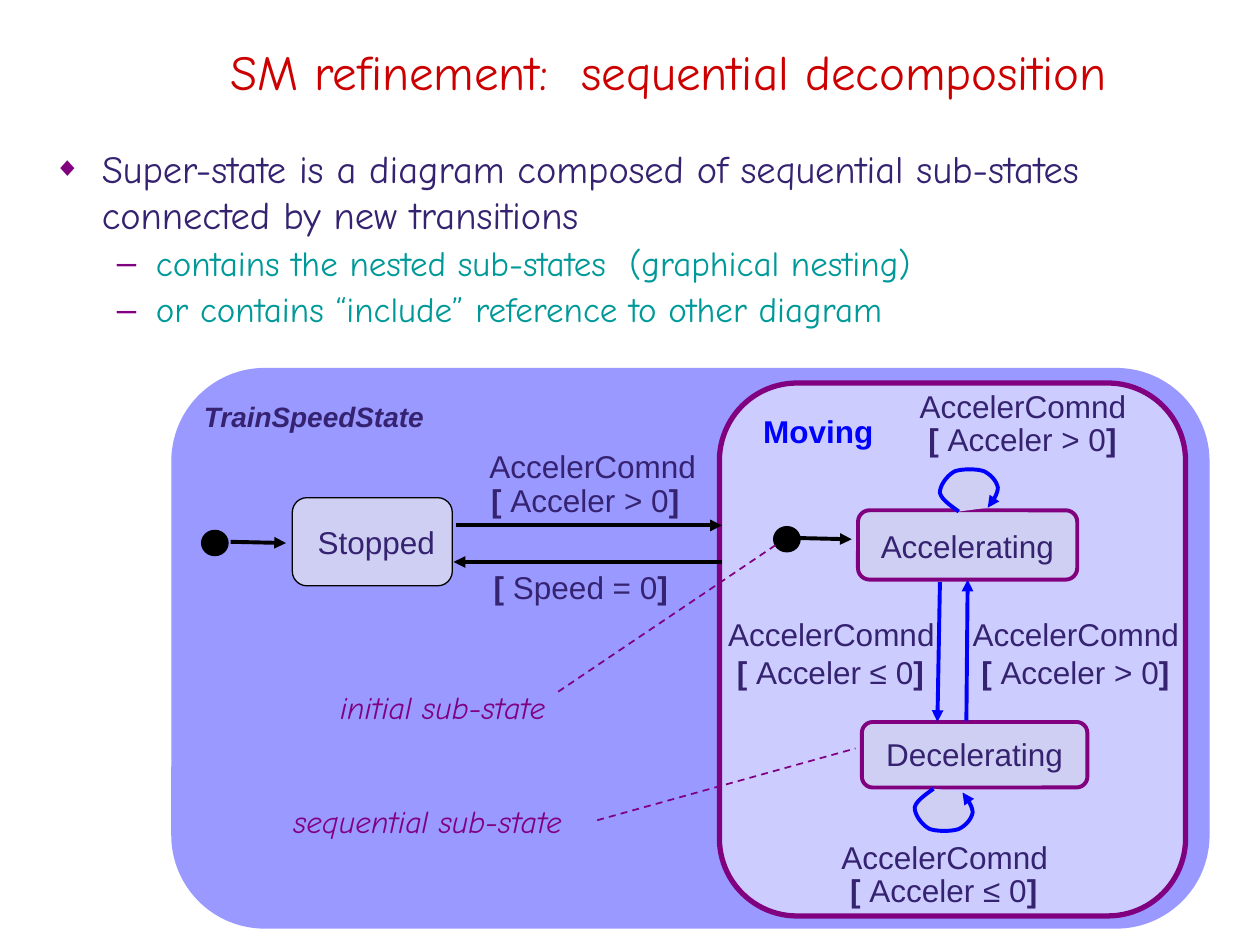
from lxml import etree
from pptx import Presentation
from pptx.dml.color import RGBColor
from pptx.enum.dml import MSO_LINE
from pptx.enum.shapes import MSO_CONNECTOR, MSO_SHAPE
from pptx.enum.text import MSO_ANCHOR, PP_ALIGN
from pptx.oxml.ns import qn
from pptx.util import Inches, Pt

STRAIGHT = MSO_CONNECTOR.STRAIGHT
ROUNDED = MSO_SHAPE.ROUNDED_RECTANGLE
OVAL = MSO_SHAPE.OVAL
DASH = MSO_LINE.DASH
TOP, MIDDLE = MSO_ANCHOR.TOP, MSO_ANCHOR.MIDDLE
LEFT, CENTER = PP_ALIGN.LEFT, PP_ALIGN.CENTER
BOTTOM_SITE = 2

COLORS = {
    "title": "CC0000", "ink": "352270", "teal": "009999", "purple": "800080",
    "blue": "0000FF", "black": "000000", "outer": "9999FF",
    "inner": "CCCCFF", "state": "CECFF2",
}
SANS, HAND = "Arial", "Comic Neue"

LOOP_START = (0, 0)
LOOP_CURVES = [
    ((-0.07, 0.05), (-0.14, 0.10), (-0.15, 0.15)),
    ((-0.15, 0.21), (-0.09, 0.29), (-0.03, 0.32)),
    ((0.03, 0.34), (0.14, 0.34), (0.20, 0.32)),
    ((0.26, 0.29), (0.30, 0.24), (0.31, 0.19)),
    ((0.31, 0.14), (0.27, 0.08), (0.23, 0.03)),
]
CURVE_STEPS = 10


def rgb(name):
    return RGBColor.from_string(COLORS[name])


def bezier(p0, p1, p2, p3, t):
    u = 1 - t
    return tuple(u**3 * a + 3 * u * u * t * b + 3 * u * t * t * c + t**3 * d
                 for a, b, c, d in zip(p0, p1, p2, p3))


def loop_points():
    points, start = [LOOP_START], LOOP_START
    for c1, c2, end in LOOP_CURVES:
        points += [bezier(start, c1, c2, end, i / CURVE_STEPS)
                   for i in range(1, CURVE_STEPS + 1)]
        start = end
    return points


class Diagram:
    def __init__(self, slide):
        self.slide = slide

    def font(self, target, size, color, name=SANS, bold=False, italic=False):
        f = target.font
        f.size, f.name, f.bold, f.italic = Pt(size), name, bold, italic
        f.color.rgb = rgb(color)

    def frame(self, x, y, w, h, anchor=TOP):
        tf = self.slide.shapes.add_textbox(
            Inches(x), Inches(y), Inches(w), Inches(h)).text_frame
        tf.word_wrap = True
        tf.vertical_anchor = anchor
        return tf

    def text(self, x, y, w, h, text, size, color, name=SANS, bold=False,
             italic=False, align=LEFT, anchor=TOP):
        p = self.frame(x, y, w, h, anchor).paragraphs[0]
        p.text, p.alignment = text, align
        self.font(p, size, color, name, bold, italic)

    def bullet(self, p, text, char, left, hang, size, color, percent=100):
        pPr = p._p.get_or_add_pPr()
        pPr.set("marL", str(Inches(left)))
        pPr.set("indent", str(-Inches(hang)))
        clr = etree.SubElement(pPr, qn("a:buClr"))
        etree.SubElement(clr, qn("a:srgbClr"), val=COLORS["purple"])
        etree.SubElement(pPr, qn("a:buSzPct"), val=str(percent * 1000))
        etree.SubElement(pPr, qn("a:buFont"), typeface=SANS)
        etree.SubElement(pPr, qn("a:buChar"), char=char)
        p.text = text
        self.font(p, size, color, HAND)

    def guard(self, p, condition, lead=""):
        for text, bold in ((lead + "[ ", True), (condition, False), ("]", True)):
            r = p.add_run()
            r.text = text
            self.font(r, 18, "ink", bold=bold)

    def transition(self, x, y, condition, event="AccelerComnd", spacing=0.9, w=1.88):
        tf = self.frame(x, y, w, 0.62)
        p = tf.paragraphs[0]
        p.text = event
        self.font(p, 18, "ink")
        p = tf.add_paragraph()
        p.line_spacing = spacing
        self.guard(p, condition, " ")

    def shape(self, kind, x, y, w, h, fill, line=None, width=0.75):
        sp = self.slide.shapes.add_shape(
            kind, Inches(x), Inches(y), Inches(w), Inches(h))
        self.style(sp, fill, line, width)
        return sp

    def style(self, sp, fill, line, width):
        sp.shadow.inherit = False
        sp.fill.solid()
        sp.fill.fore_color.rgb = rgb(fill)
        if line:
            sp.line.color.rgb = rgb(line)
            sp.line.width = Pt(width)
        else:
            sp.line.fill.background()

    def state(self, x, y, w, h, text, fill="state", line="purple", width=2.25,
              spacing=1.0, color="ink", bold=False):
        sp = self.shape(ROUNDED, x, y, w, h, fill, line, width)
        tf = sp.text_frame
        tf.vertical_anchor = TOP
        p = tf.paragraphs[0]
        p.text, p.alignment, p.line_spacing = " " + text, LEFT, spacing
        self.font(p, 18, color, bold=bold)
        return sp

    def initial(self, x, y):
        self.shape(OVAL, x, y, 0.21, 0.2, "black", "black")

    def arrowhead(self, sp):
        etree.SubElement(sp.line._get_or_add_ln(), qn("a:tailEnd"), type="triangle")

    def line(self, x1, y1, x2, y2, color, width):
        cn = self.slide.shapes.add_connector(
            STRAIGHT, Inches(x1), Inches(y1), Inches(x2), Inches(y2))
        cn.line.color.rgb = rgb(color)
        cn.line.width = Pt(width)
        etree.SubElement(cn._element.spPr, qn("a:effectLst"))
        return cn

    def arrow(self, x1, y1, x2, y2, color="black"):
        cn = self.line(x1, y1, x2, y2, color, 2.25)
        self.arrowhead(cn)
        return cn

    def callout(self, x1, y1, x2, y2):
        self.line(x1, y1, x2, y2, "purple", 1).line.dash_style = DASH

    def loop(self, x, y, direction):
        points = [(Inches(x + dx), Inches(y + direction * dy))
                  for dx, dy in loop_points()]
        builder = self.slide.shapes.build_freeform(*points[0])
        builder.add_line_segments(points[1:], close=False)
        sp = builder.convert_to_shape()
        self.style(sp, "state", "blue", 2.25)
        self.arrowhead(sp)


def main():
    prs = Presentation()
    prs.slide_width, prs.slide_height = Inches(10), Inches(7.5)
    s = Diagram(prs.slides.add_slide(prs.slide_layouts[6]))

    s.text(0.84, 0.15, 8.93, 0.83, "SM refinement:  sequential decomposition",
           28, "title", HAND, align=CENTER, anchor=MIDDLE)
    tf = s.frame(0.33, 1.11, 9.33, 1.55, MIDDLE)
    s.bullet(tf.paragraphs[0], "Super-state is a diagram composed of sequential "
             "sub-states connected by new transitions", "◆", 0.38, 0.38, 22, "ink", 70)
    for text in ("contains the nested sub-states  (graphical nesting)",
                 "or contains “include” reference to other diagram"):
        p = tf.add_paragraph()
        p.level, p.line_spacing, p.space_before = 1, 0.9, Pt(5)
        s.bullet(p, text, "–", 0.81, 0.31, 20, "teal")

    s.shape(ROUNDED, 1.36, 2.92, 8.24, 4.45, "outer")
    s.text(1.52, 3.12, 1.98, 0.34, "TrainSpeedState", 16, "ink", bold=True, italic=True)
    s.transition(3.73, 3.5, "Acceler > 0", " AccelerComnd", w=1.99)
    s.state(2.32, 3.95, 1.27, 0.7, "Stopped", line="black", width=0.75, spacing=1.4)
    s.state(5.71, 3.04, 3.7, 4.23, "Moving", "inner", width=3, color="blue", bold=True)
    s.guard(s.frame(3.82, 4.46, 1.68, 0.4).paragraphs[0], "Speed = 0")
    accelerating = s.state(6.81, 4.05, 1.74, 0.55, "Accelerating", spacing=1.2)
    s.state(6.84, 5.73, 1.79, 0.52, "Decelerating", spacing=1.1)

    s.initial(1.6, 4.21)
    s.initial(6.14, 4.18)
    s.arrow(1.83, 4.3, 2.27, 4.31)
    s.arrow(6.32, 4.27, 6.76, 4.28)
    s.arrow(3.62, 4.17, 5.73, 4.17)
    s.arrow(5.73, 4.46, 3.6, 4.46)
    s.loop(7.61, 4.06, -1)
    s.loop(7.41, 6.26, 1)
    s.transition(7.2, 3.02, "Acceler > 0")
    s.transition(6.58, 6.6, "Acceler ≤ 0")
    s.transition(5.68, 4.83, "Acceler ≤ 0", spacing=1.0)
    s.transition(7.62, 4.83, "Acceler > 0", spacing=1.0)
    s.arrow(7.46, 4.62, 7.44, 5.73, "blue")
    s.arrow(7.67, 5.72, 7.69, 4.6, "blue").end_connect(accelerating, BOTTOM_SITE)

    s.text(2.6, 5.41, 2.21, 0.46, "initial sub-state", 18, "purple", HAND, italic=True)
    s.callout(4.43, 5.49, 6.18, 4.31)
    s.text(2.23, 6.32, 2.78, 0.46, "sequential sub-state", 18, "purple", HAND, italic=True)
    s.callout(4.74, 6.51, 6.79, 5.94)

    prs.save("out.pptx")


if __name__ == "__main__":
    main()
